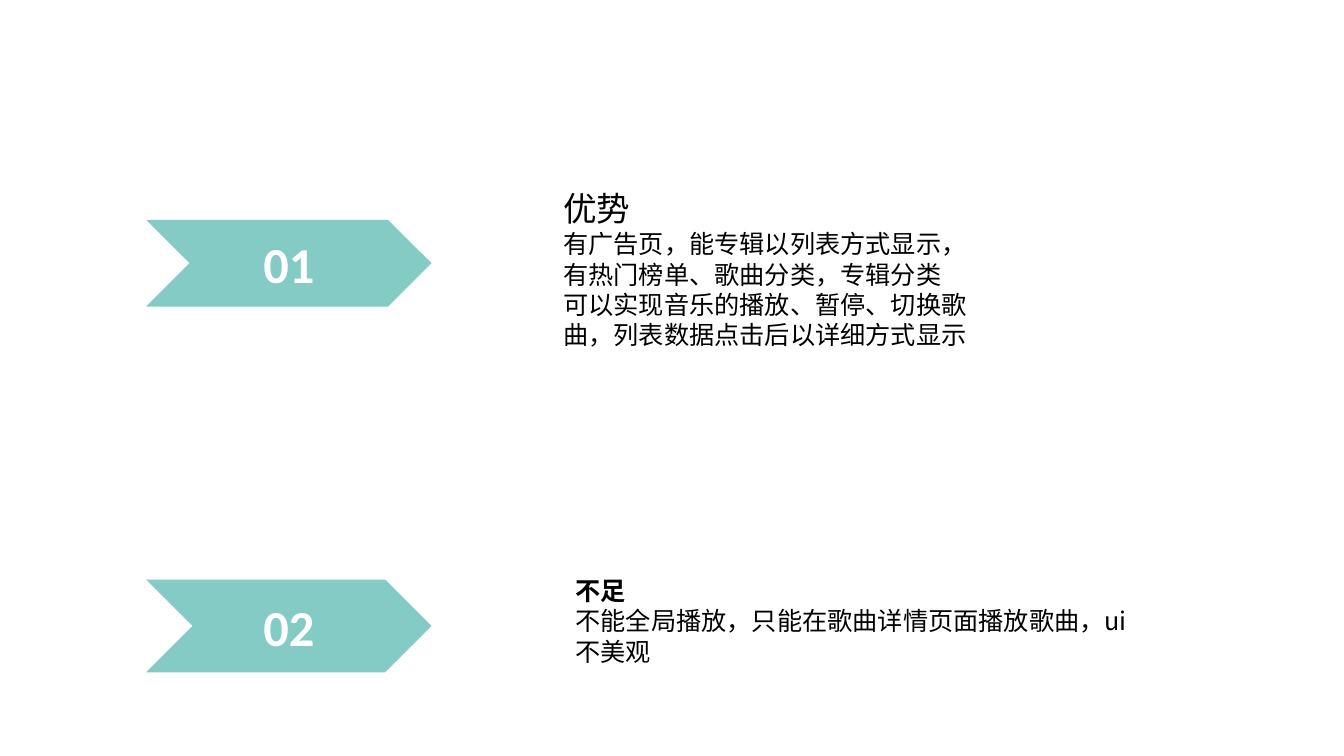
from lxml import etree
from pptx import Presentation
from pptx import util as u
from pptx.dml.color import RGBColor
from pptx.enum import shapes, text
from pptx.oxml.ns import qn

# Content: one entry per numbered section; boxes are left, top, width, height in points
SECTIONS = [
    {
        "number": "01",
        "heading": "优势",
        "heading_size": 24,
        "heading_bold": False,
        "lines": [
            "有广告页，能专辑以列表方式显示，有热门榜单、歌曲分类，专辑分类",
            "可以实现音乐的播放、暂停、切换歌曲，列表数据点击后以详细方式显示",
        ],
        "chevron_top": 157,
        "chevron_height": 62,
        "text_box": (395.3, 131, 303.8, 123.8),
    },
    {
        "number": "02",
        "heading": "不足",
        "heading_size": 18,
        "heading_bold": True,
        "lines": ["不能全局播放，只能在歌曲详情页面播放歌曲，ui不美观"],
        "chevron_top": 414,
        "chevron_height": 66.2,
        "text_box": (404, 407.5, 417.6, 72.7),
    },
]

THEME = {
    "teal": RGBColor(0x84, 0xCB, 0xC5),
    "white": RGBColor(0xFF, 0xFF, 0xFF),
    "black": RGBColor(0, 0, 0),
    "number_font": "Calibri",
    "text_font": "Noto Sans CJK SC",
    "number_size": 36,
    "text_size": 18,
}

CHEVRON_LEFT, CHEVRON_WIDTH = 104.4, 203.8
NUMBER_WIDTH = 122.4
NUMBER_DROP = 6


def points(*lengths):
    return [u.Pt(length) for length in lengths]


def style(paragraph, font_name, size, color, bold=False):
    font = paragraph.font
    font.name, font.size, font.bold = font_name, u.Pt(size), bold
    font.color.rgb = color
    # East Asian characters take their own typeface
    properties = paragraph._p.pPr.find(qn("a:defRPr"))
    etree.SubElement(properties, qn("a:ea")).set("typeface", font_name)


def add_chevron(slide, section):
    top, height = section["chevron_top"], section["chevron_height"]
    chevron = slide.shapes.add_shape(
        shapes.MSO_SHAPE.CHEVRON, *points(CHEVRON_LEFT, top, CHEVRON_WIDTH, height))
    chevron.shadow.inherit = False
    chevron.fill.solid()
    chevron.fill.fore_color.rgb = THEME["teal"]
    chevron.line.fill.background()

    # Number centred on the chevron
    left = CHEVRON_LEFT + (CHEVRON_WIDTH - NUMBER_WIDTH) / 2
    frame = slide.shapes.add_textbox(
        *points(left, top, NUMBER_WIDTH, height)).text_frame
    frame.word_wrap = True
    frame.vertical_anchor = text.MSO_ANCHOR.MIDDLE
    frame.margin_left = frame.margin_right = frame.margin_bottom = 0
    frame.margin_top = u.Pt(NUMBER_DROP)
    paragraph = frame.paragraphs[0]
    paragraph.text = section["number"]
    paragraph.alignment = text.PP_ALIGN.CENTER
    paragraph.line_spacing = 0.9
    style(paragraph, THEME["number_font"], THEME["number_size"], THEME["white"], True)


def add_description(slide, section):
    frame = slide.shapes.add_textbox(*points(*section["text_box"])).text_frame
    frame.word_wrap = True
    heading = frame.paragraphs[0]
    heading.text = section["heading"]
    style(heading, THEME["text_font"], section["heading_size"],
          THEME["black"], section["heading_bold"])
    for line in section["lines"]:
        paragraph = frame.add_paragraph()
        paragraph.text = line
        style(paragraph, THEME["text_font"], THEME["text_size"], THEME["black"])


def main():
    presentation = Presentation()
    presentation.slide_width, presentation.slide_height = points(960, 540)
    slide = presentation.slides.add_slide(presentation.slide_layouts[6])
    for section in SECTIONS:
        add_chevron(slide, section)
        add_description(slide, section)
    presentation.save("out.pptx")


if __name__ == "__main__":
    main()
